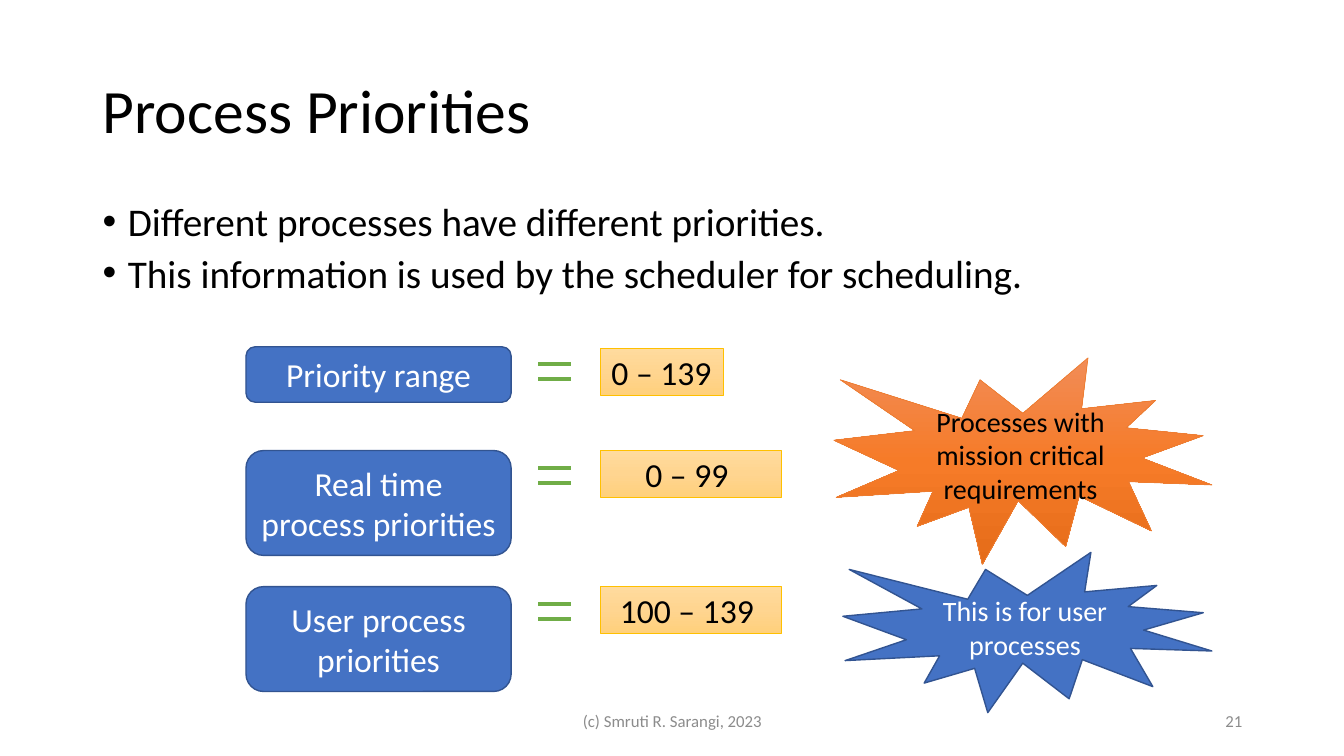
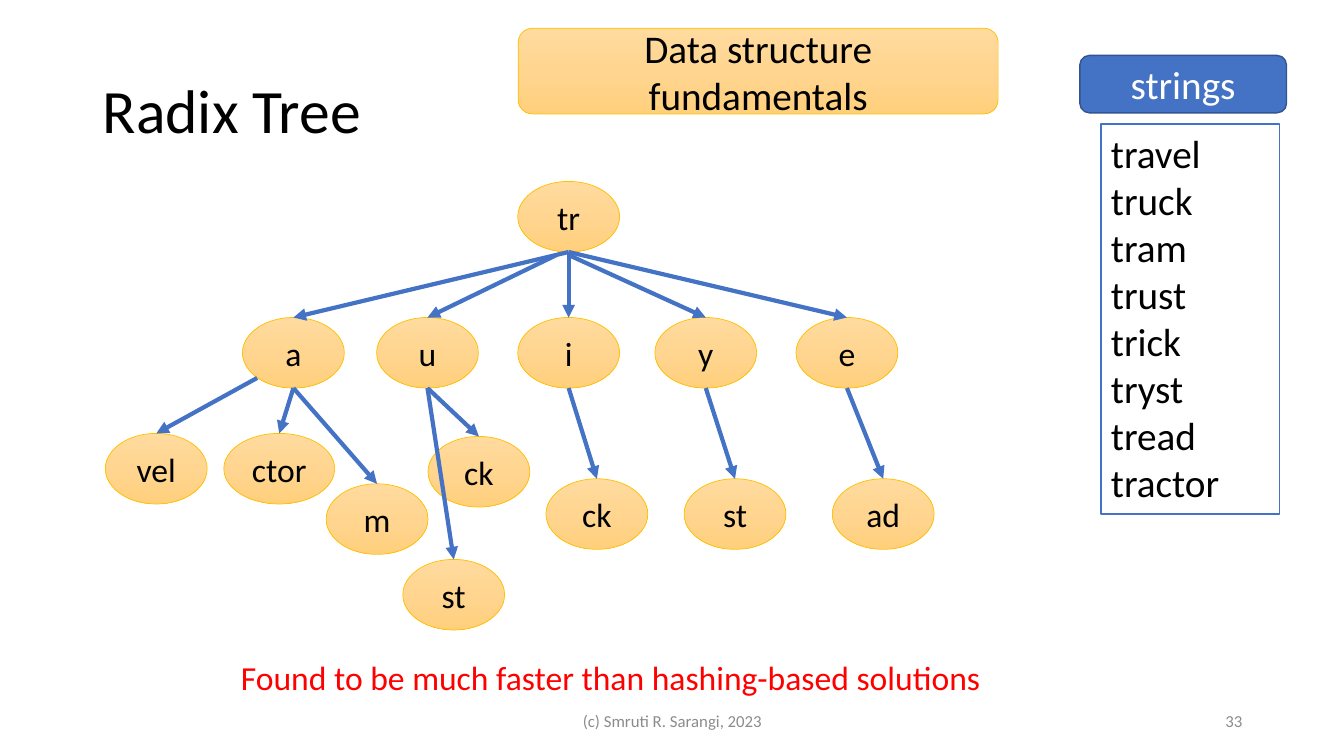
from copy import deepcopy

from lxml import etree
from pptx import Presentation
from pptx.dml.color import RGBColor
from pptx.enum.shapes import MSO_CONNECTOR, MSO_SHAPE
from pptx.enum.text import MSO_ANCHOR, PP_ALIGN
from pptx.oxml.ns import qn
from pptx.util import Inches, Pt

LEFT, MID, RIGHT = PP_ALIGN.LEFT, PP_ALIGN.CENTER, PP_ALIGN.RIGHT
TOP, CENTER = MSO_ANCHOR.TOP, MSO_ANCHOR.MIDDLE
RECT, ROUND = MSO_SHAPE.RECTANGLE, MSO_SHAPE.ROUNDED_RECTANGLE
OVAL, BURST = MSO_SHAPE.OVAL, MSO_SHAPE.EXPLOSION1
LINE = MSO_CONNECTOR.STRAIGHT

FONT = "Calibri"
BLACK, WHITE, GREY, RED = "000000", "FFFFFF", "8C8C8C", "FF0000"
BLUE, GREEN = "4472C4", "70AD47"
# Looks: fill (one colour or three gradient stops), line, line width, text
SOLID = (BLUE, "325491", 1, WHITE)
GOLD = (("FFDB9E", "FFD590", "FFD07C"), "FFC000", 0.5, BLACK)
ORANGE = (("F18C57", "F67B28", "E56C19"), "ED7D31", 0.5, BLACK)
PLAIN = (WHITE, BLUE, 1, BLACK)


def color(code):
    return RGBColor.from_string(code)


def apply(item, values):
    for name, value in values.items():
        setattr(item, name, value)


class Deck:
    def __init__(self):
        self.show = Presentation()
        apply(self.show, {"slide_width": Inches(13.33),
                          "slide_height": Inches(7.5)})

    def page(self, title, number):
        self.slide = self.show.slides.add_slide(self.show.slide_layouts[6])
        self.text((0.92, 0.4, 11.5, 1.45), [title], 44,
                  anchor=CENTER, para={"line_spacing": 0.9})
        # Footer
        self.text((4.42, 6.95, 4.5, 0.4), ["(c) Smruti R. Sarangi, 2023"],
                  12, GREY, MID, CENTER)
        self.text((9.42, 6.95, 3, 0.4), [str(number)], 12, GREY, RIGHT, CENTER)

    def label(self, shape, lines, size, ink, align, anchor, para=None,
              wrap=True):
        frame = shape.text_frame
        apply(frame, {"word_wrap": wrap, "vertical_anchor": anchor})
        frame.text = "\n".join(lines)
        for part in frame.paragraphs:
            apply(part, {"alignment": align, **(para or {})})
            for run in part.runs:
                apply(run.font, {"name": FONT, "size": Pt(size)})
                run.font.color.rgb = color(ink)
        return frame

    def text(self, box, lines, size, ink=BLACK, align=LEFT, anchor=TOP,
             para=None, wrap=True):
        shape = self.slide.shapes.add_textbox(*map(Inches, box))
        return self.label(shape, lines, size, ink, align, anchor, para, wrap)

    def bullets(self, box, lines, size):
        frame = self.text(box, lines, size, para={
            "line_spacing": 0.8, "space_before": Pt(10)})
        for part in frame.paragraphs:
            props = part._p.get_or_add_pPr()
            props.set("marL", str(Inches(0.25)))
            props.set("indent", str(-Inches(0.25)))
            etree.SubElement(props, qn("a:buFont")).set("typeface", "Arial")
            etree.SubElement(props, qn("a:buChar")).set("char", "•")

    def shape(self, kind, box, lines, look, size=24, align=MID, anchor=CENTER):
        fill, edge, width, ink = look
        shape = self.slide.shapes.add_shape(kind, *map(Inches, box))
        shape.shadow.inherit = False
        if isinstance(fill, str):
            shape.fill.solid()
            shape.fill.fore_color.rgb = color(fill)
        else:
            self.blend(shape, fill)
        shape.line.color.rgb = color(edge)
        shape.line.width = Pt(width)
        self.label(shape, lines, size, ink, align, anchor)

    def blend(self, shape, codes):
        shape.fill.gradient()
        shape.fill.gradient_angle = 270
        stops = shape.element.spPr.find(".//" + qn("a:gsLst"))
        stops.insert(1, deepcopy(stops[0]))
        stops[1].set("pos", "50000")
        for stop, code in zip(shape.fill.gradient_stops, codes):
            stop.color.rgb = color(code)

    def line(self, start, end, ink, arrow=False):
        link = self.slide.shapes.add_connector(
            LINE, *map(Inches, (*start, *end)))
        link.line.color.rgb = color(ink)
        link.line.width = Pt(3)
        props = link.element.spPr
        if arrow:
            tail = etree.SubElement(props.find(qn("a:ln")), qn("a:tailEnd"))
            tail.set("type", "triangle")
        etree.SubElement(props, qn("a:effectLst"))


def ranks(deck):
    deck.page("Process Priorities", 21)
    deck.bullets((0.92, 2, 11.5, 1.06), [
        "Different processes have different priorities.",
        "This information is used by the scheduler for scheduling."], 28)
    # Rows: top, height, label, value top, value width, value
    rows = [
        (3.44, 0.55, "Priority range", 3.46, 1.22, "0 – 139 "),
        (4.47, 1.04, "Real time process priorities", 4.47, 1.8, "0 – 99 "),
        (5.82, 1.04, "User process priorities", 5.82, 1.8, "100 – 139 "),
    ]
    for top, high, label, level, wide, value in rows:
        deck.shape(ROUND, (2.44, top, 2.63, high), [label], SOLID)
        deck.shape(RECT, (5.95, level, wide, 0.46), [value], GOLD)
        # Equals sign
        for gap in (0.17, 0.32):
            deck.line((5.34, top + gap), (5.66, top + gap), GREEN)
    # Callouts
    deck.shape(BURST, (8.36, 5.48, 3.66, 1.59),
               ["This is for user processes"], SOLID, 20)
    deck.shape(BURST, (8.27, 3.55, 3.75, 2.05),
               ["Processes with mission critical requirements"], ORANGE, 20)


def tree(deck):
    deck.page("Radix Tree", 33)
    deck.shape(ROUND, (5.14, 0.28, 4.76, 0.85),
               ["Data structure fundamentals"], GOLD, 28)
    # Word list
    words = ["travel", "truck", "tram", "trust",
             "trick", "tryst", "tread", "tractor"]
    deck.shape(RECT, (10.92, 1.23, 1.77, 3.87), words, PLAIN, 28, LEFT, TOP)
    deck.shape(ROUND, (10.71, 0.55, 2.05, 0.57), ["strings"], SOLID, 28)
    # Nodes: text, parent, centre, top
    nodes = [
        ("tr", None, 5.64, 1.8),
        ("a", "tr", 2.91, 3.15), ("u", "tr", 4.24, 3.15),
        ("i", "tr", 5.64, 3.15), ("y", "tr", 7, 3.15), ("e", "tr", 8.4, 3.15),
        ("vel", "a", 1.55, 4.3), ("ctor", "a", 2.77, 4.3),
        ("m", "a", 3.74, 4.8),
        ("ck", "u", 4.75, 4.33), ("st", "u", 4.5, 5.55),
        ("ck", "i", 5.92, 4.75), ("st", "y", 7.29, 4.75),
        ("ad", "e", 8.76, 4.75),
    ]
    # Arrows that leave beside the foot of the parent
    shifts = {"u": (-0.12, 0.03), "y": (0, 0.03), "vel": (-0.36, -0.1)}
    high, feet = 0.7, {}
    for text, root, mid, top in nodes:
        wide = 1.1 if len(text) > 3 else 1.01
        deck.shape(OVAL, (mid - wide / 2, top, wide, high), [text], GOLD)
        feet[text] = (mid, top + high)
        if root:
            start = [a + b for a, b in zip(feet[root], shifts.get(text, (0, 0)))]
            deck.line(start, (mid, top), BLUE, arrow=True)
    # Verdict
    deck.text((2.29, 6.47, 7.61, 0.5),
              ["Found to be much faster than hashing-based solutions"],
              24, RED, wrap=False)


def main():
    deck = Deck()
    ranks(deck)
    tree(deck)
    deck.show.save("out.pptx")


if __name__ == "__main__":
    main()
